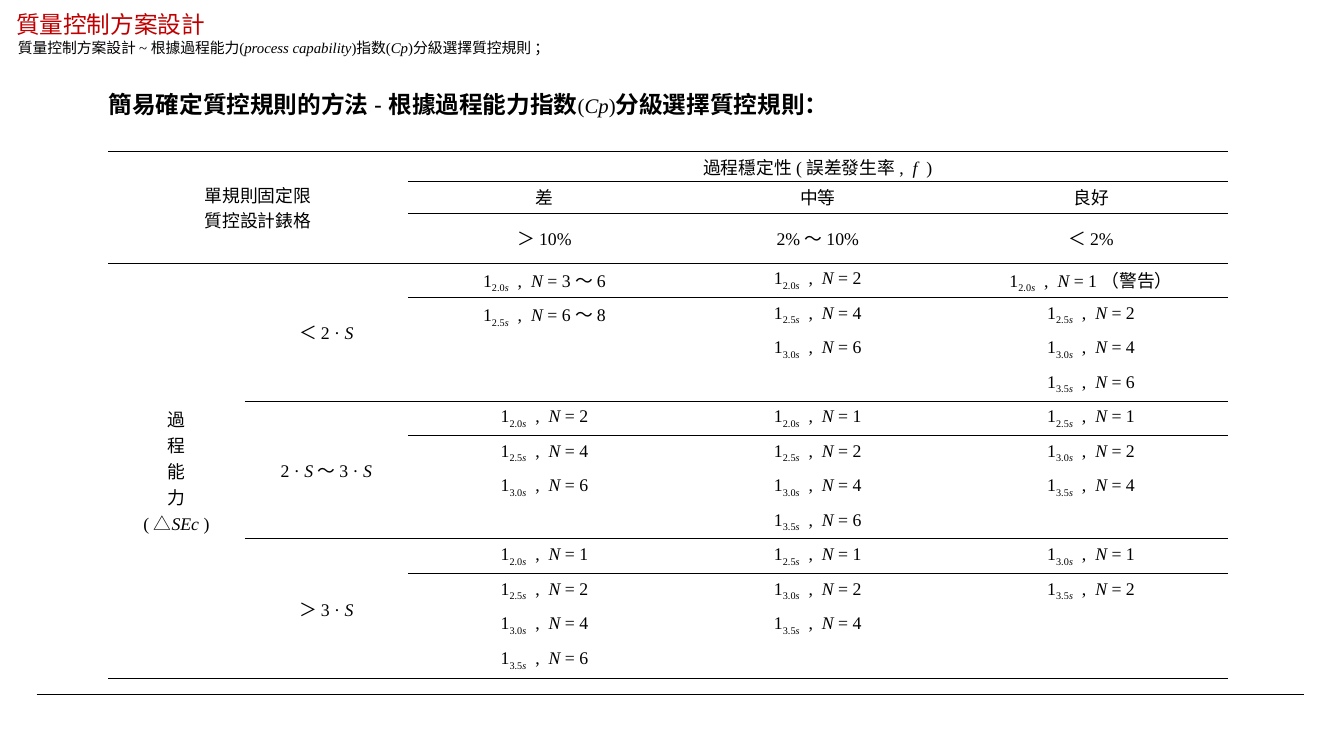
import lxml.etree
import pptx
import pptx.dml.color
import pptx.enum.shapes
import pptx.enum.text
import pptx.oxml.ns
import pptx.util

Pt = pptx.util.Pt
qn = pptx.oxml.ns.qn
COLORS = {"text": "000000", "title": "C00000", "rule": "000000"}
SERIF, SANS, CJK = "Times New Roman", "Arial", "Noto Sans CJK SC"


def write(paragraph, size, font, parts, color="text"):
    """Add (text, style) runs; style letters: b bold, i italic, s subscript, c CJK font."""
    for text, style in parts:
        for index, line in enumerate(text.split("\n")):
            if index:
                paragraph.add_line_break()
                lxml.etree.SubElement(paragraph._p[-1], qn("a:rPr"), sz=str(size * 100))
            if not line:
                continue
            run = paragraph.add_run()
            run.text = line
            run.font.size = Pt(size)
            run.font.name = CJK if "c" in style else font
            run.font.bold = "b" in style
            run.font.italic = "i" in style
            run.font.color.rgb = pptx.dml.color.RGBColor.from_string(COLORS[color])
            properties = run.font._element
            if "s" in style:
                properties.set("baseline", "-25000")
            east_asian = lxml.etree.Element(qn("a:ea"), typeface=CJK)
            properties.find(qn("a:latin")).addnext(east_asian)


def add_border(cell_properties, side, width):
    line = lxml.etree.SubElement(cell_properties, qn("a:" + side), w=str(Pt(width)))
    fill = lxml.etree.SubElement(line, qn("a:solidFill"))
    lxml.etree.SubElement(fill, qn("a:srgbClr"), val=COLORS["rule"])


presentation = pptx.Presentation()
presentation.slide_width, presentation.slide_height = Pt(907.2), Pt(510.5)
slide = presentation.slides.add_slide(presentation.slide_layouts[5])

# Footer rule
footer_rule = slide.shapes.add_connector(
    pptx.enum.shapes.MSO_CONNECTOR.STRAIGHT, Pt(24.7), Pt(469.2), Pt(880), Pt(469.2))
footer_rule.line.width = Pt(0.5)
footer_rule.line.color.rgb = pptx.dml.color.RGBColor.from_string(COLORS["rule"])
lxml.etree.SubElement(footer_rule._element.spPr, qn("a:effectLst"))

# Table
column_widths = [92.4, 110, 184.5, 184.5, 184.5]
row_heights = [20.2, 21.5, 33.8] + [23.3] * 11 + [24.5]
table_frame = slide.shapes.add_table(
    len(row_heights), len(column_widths), Pt(72.9), Pt(102.2),
    Pt(sum(column_widths)), Pt(sum(row_heights)))
table = table_frame.table
table.first_row = table.horz_banding = False
NO_STYLE = "{2D5ABB26-0587-4C30-8999-92F81FD0307C}"
table._tbl.tblPr.find(qn("a:tableStyleId")).text = NO_STYLE
for column, width in zip(table.columns, column_widths):
    column.width = Pt(width)
for row, height in zip(table.rows, row_heights):
    row.height = Pt(height)

GROUP_ROWS = [3, 7, 11]
table.cell(0, 0).merge(table.cell(2, 1))
table.cell(0, 2).merge(table.cell(0, 4))
table.cell(3, 0).merge(table.cell(14, 0))
for first_row in GROUP_ROWS:
    table.cell(first_row, 1).merge(table.cell(first_row + 3, 1))

contents = {
    (0, 0): [("單規則固定限\n質控設計錶格", "c")],
    (0, 2): [("過程穩定性 ", "c"), ("( ", ""), ("誤差發生率 ", "c"), (",  ", ""),
             ("f  ", "i"), (")", "")],
    (1, 2): [("差", "c")],
    (1, 3): [("中等", "c")],
    (1, 4): [("良好", "c")],
    (2, 2): [("＞ ", "c"), ("10%", "")],
    (2, 3): [("2% ", ""), ("～ ", "c"), ("10%", "")],
    (2, 4): [("＜ ", "c"), ("2%", "")],
    (3, 0): [("過\n程\n能\n力\n", "c"), ("( ", ""), ("△", "c"), ("SEc ", "i"), (")", "")],
    (3, 1): [("＜", "c"), (" 2 · ", ""), ("S", "i")],
    (7, 1): [("2 · ", ""), ("S ", "i"), ("～", "c"), (" 3 · ", ""), ("S", "i")],
    (11, 1): [("＞", "c"), (" 3 · ", ""), ("S", "i")],
}

# Per group and column: first control limit, then N for each limit in steps of 0.5.
# Every second piece between bars is set in the CJK font.
control_rules = [
    [(2.0, ["3 |～| 6", "6 |～| 8"]), (2.0, "246"), (2.0, ["1 |（警告）", "2", "4", "6"])],
    [(2.0, "246"), (2.0, "1246"), (2.5, "124")],
    [(2.0, "1246"), (2.5, "124"), (3.0, "12")],
]
for first_row, group in zip(GROUP_ROWS, control_rules):
    for column_index, (first_limit, counts) in enumerate(group, 2):
        for step, count in enumerate(counts):
            pieces = (" = " + count).split("|")
            contents[first_row + step, column_index] = [
                ("1", ""), (f"{first_limit + step / 2:.1f}", "s"), ("s", "si"),
                ("  ,  ", ""), ("N", "i"),
            ] + [(piece, "c" if index % 2 else "") for index, piece in enumerate(pieces)]

# Row boundary: first column of the rule, width
horizontal_rules = {0: (0, 1), 1: (2, 0.5), 3: (0, 0.5), 7: (1, 0.5), 11: (1, 0.5), 15: (0, 1)}
for row_index in range(len(row_heights)):
    for column_index in range(len(column_widths)):
        cell = table.cell(row_index, column_index)
        cell.margin_left = cell.margin_right = cell.margin_top = cell.margin_bottom = 0
        cell.vertical_anchor = pptx.enum.text.MSO_ANCHOR.MIDDLE
        cell_properties = cell._tc.get_or_add_tcPr()
        edges = {"lnT": row_index, "lnB": row_index + cell.span_height}
        for side, boundary in edges.items():
            first_column, width = horizontal_rules.get(boundary, (len(column_widths), 0))
            if column_index >= first_column:
                add_border(cell_properties, side, width)
        cell.fill.background()
        paragraph = cell.text_frame.paragraphs[0]
        paragraph.alignment = pptx.enum.text.PP_ALIGN.CENTER
        write(paragraph, 12, SERIF, contents.get((row_index, column_index), []))
        if not paragraph.runs:
            lxml.etree.SubElement(paragraph._p, qn("a:endParaRPr"), sz="1200")

# Title and headings
title = slide.shapes.title
title.left, title.top, title.width, title.height = Pt(3.6), Pt(2.9), Pt(277.2), Pt(26.6)
heading = slide.shapes.add_textbox(Pt(66.2), Pt(56.9), Pt(539.3), Pt(26.6))
subtitle = slide.shapes.add_textbox(Pt(5), Pt(22.3), Pt(400.3), Pt(19.4))
for shape in (title, heading, subtitle):
    shape.text_frame.word_wrap = True
    shape.text_frame.auto_size = pptx.enum.text.MSO_AUTO_SIZE.SHAPE_TO_FIT_TEXT
    shape.text_frame.vertical_anchor = pptx.enum.text.MSO_ANCHOR.TOP
    shape.text_frame.paragraphs[0].alignment = pptx.enum.text.PP_ALIGN.LEFT

write(title.text_frame.paragraphs[0], 16, SERIF, [("質量控制方案設計", "")], "title")
write(subtitle.text_frame.paragraphs[0], 10, SERIF, [
    ("質量控制方案設計 ~ 根據過程能力(", ""), ("process capability", "i"), (")指数(", ""),
    ("Cp", "i"), (")分級選擇質控規則 ；", "")])
heading_paragraph = heading.text_frame.paragraphs[0]
write(heading_paragraph, 16, SANS, [
    ("簡易確定質控規則的方法 ", "b"), ("- ", ""), ("根據過程能力指数", "b")])
write(heading_paragraph, 14, SERIF, [("(", ""), ("Cp", "i"), (")", "")])
write(heading_paragraph, 16, SANS, [("分級選擇質控規則：", "b")])

presentation.save("out.pptx")
